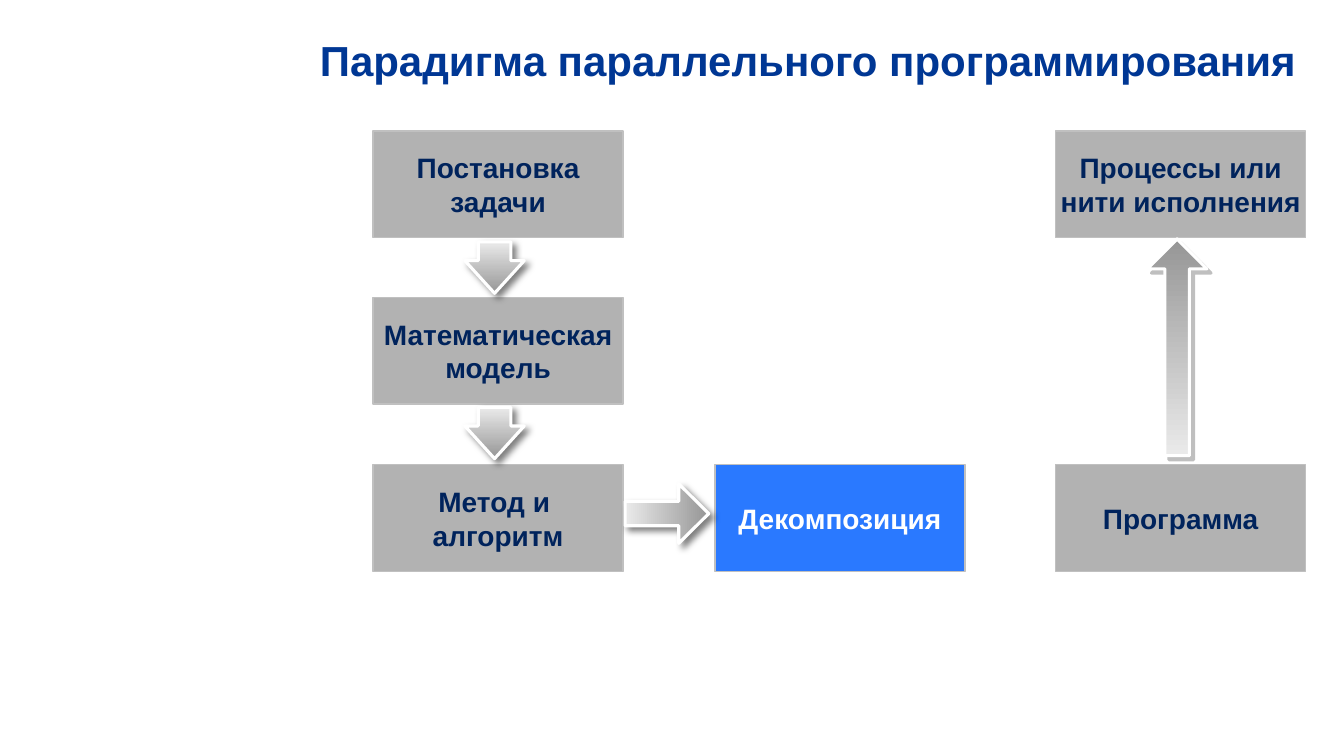
from lxml import etree
from pptx import Presentation
from pptx.dml.color import RGBColor
from pptx.enum.shapes import MSO_SHAPE
from pptx.enum.text import MSO_ANCHOR, MSO_AUTO_SIZE, PP_ALIGN
from pptx.oxml.ns import qn
from pptx.util import Inches, Pt

RECT = MSO_SHAPE.RECTANGLE
ARROW = MSO_SHAPE.RIGHT_ARROW
MIDDLE = MSO_ANCHOR.MIDDLE
NO_FIT = MSO_AUTO_SIZE.NONE
CENTER = PP_ALIGN.CENTER
RIGHT = PP_ALIGN.RIGHT

FONT = "Arial"
NAVY, BLUE, GRAY, WHITE = "00235C", "2A79FF", "B2B2B2", "FFFFFF"

# Grid of boxes: left edges by column, top edges by row
COLS = [3.7, 7.09, 10.47]
ROWS = [1.3, 2.95, 4.61]
BOX_W, BOX_H = 2.48, 1.06

# Column, row, lines of text, fill, text colour
BOXES = [
    (0, 0, ["Постановка задачи"], GRAY, NAVY),
    (0, 1, ["Математическая модель"], GRAY, NAVY),
    (0, 2, ["Метод и ", "алгоритм"], GRAY, NAVY),
    (1, 2, ["Декомпозиция"], BLUE, WHITE),
    (2, 2, ["Программа"], GRAY, NAVY),
    (2, 0, ["Процессы или нити исполнения"], GRAY, NAVY),
]

# Left, top, width, turn, adjustments, shadow colour, shadow blur
LONG, SHORT = (0.411, 0.504), (0.55, 0.636)
ARROW_H = 0.59
ARROWS = [
    (4.65, 2.36, 0.51, 90, SHORT, "000000", 5),
    (4.65, 4.0, 0.51, 90, SHORT, "000000", 5),
    (6.2, 4.8, 0.83, 0, LONG, "000000", 5),
    (10.6, 3.15, 2.15, 270, LONG, "808080", 0),
]


def color(code):
    return RGBColor.from_string(code)


def write(shape, lines, size, tint, align):
    frame = shape.text_frame
    frame.auto_size = NO_FIT
    frame.word_wrap = True
    frame.vertical_anchor = MIDDLE
    frame.margin_left = frame.margin_right = Inches(0)
    frame.margin_top = frame.margin_bottom = Inches(0)
    for i, line in enumerate(lines):
        para = frame.paragraphs[0] if i == 0 else frame.add_paragraph()
        para.alignment = align
        run = para.add_run()
        run.text = line
        run.font.name = FONT
        run.font.size = Pt(size)
        run.font.bold = True
        run.font.color.rgb = color(tint)


def outline(shape, tint, width):
    shape.line.color.rgb = color(tint)
    shape.line.width = Pt(width)


def add_title(slide, text):
    title = slide.shapes.title
    title.left, title.top = Inches(0.47), Inches(0)
    title.width, title.height = Inches(12.39), Inches(1.19)
    write(title, [text], 30, "003794", RIGHT)


def add_box(slide, col, row, lines, fill, tint):
    box = slide.shapes.add_shape(RECT, Inches(COLS[col]), Inches(ROWS[row]),
                                 Inches(BOX_W), Inches(BOX_H))
    box.shadow.inherit = False
    box.fill.solid()
    box.fill.fore_color.rgb = color(fill)
    outline(box, "C0C0C0", 1)
    write(box, lines, 20, tint, CENTER)


def add_shadow(shape, tint, blur):
    shape.shadow.inherit = False
    effects = shape.element.spPr.find(qn("a:effectLst"))
    outer = etree.SubElement(effects, qn("a:outerShdw"), blurRad=str(Pt(blur)),
                             dist=str(Pt(4.2)), dir="2700000", algn="ctr",
                             rotWithShape="0")
    shade = etree.SubElement(outer, qn("a:srgbClr"), val=tint)
    etree.SubElement(shade, qn("a:alpha"), val="50000")


def add_arrow(slide, left, top, width, turn, adjust, shade, blur):
    arrow = slide.shapes.add_shape(ARROW, Inches(left), Inches(top),
                                   Inches(width), Inches(ARROW_H))
    arrow.rotation = turn
    for i, value in enumerate(adjust):
        arrow.adjustments[i] = value
    arrow.fill.gradient()
    arrow.fill.gradient_angle = 0
    for i, tint in enumerate(["EAEAEA", "969696"]):
        stop = arrow.fill.gradient_stops[i]
        stop.position = i
        stop.color.rgb = color(tint)
    outline(arrow, WHITE, 2.25)
    add_shadow(arrow, shade, blur)


def main():
    deck = Presentation()
    deck.slide_width, deck.slide_height = Inches(13.33), Inches(7.5)
    slide = deck.slides.add_slide(deck.slide_layouts[5])
    add_title(slide, "Парадигма параллельного программирования")
    for box in BOXES:
        add_box(slide, *box)
    for arrow in ARROWS:
        add_arrow(slide, *arrow)
    deck.save("out.pptx")


if __name__ == "__main__":
    main()
